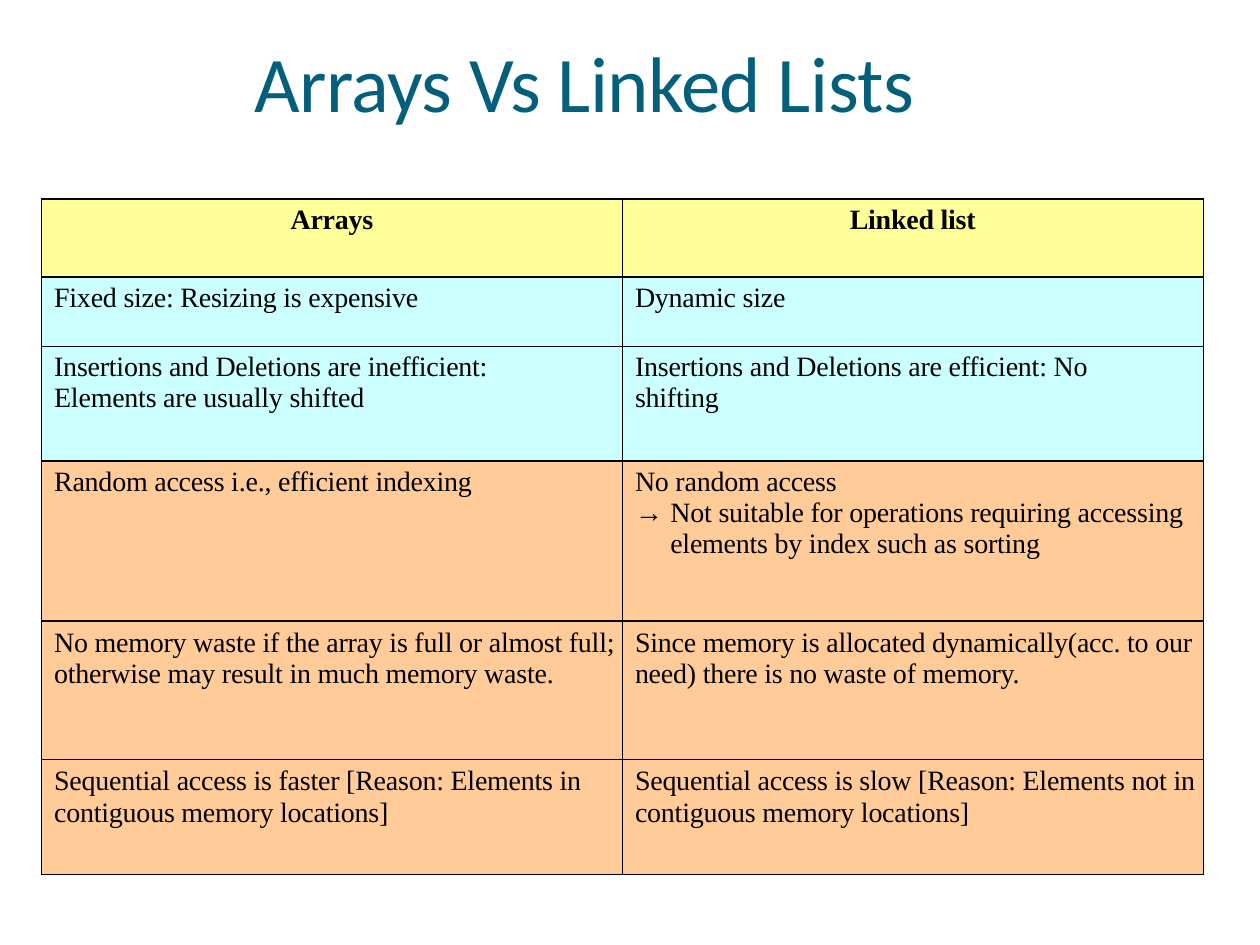
from lxml import etree
from pptx import Presentation
from pptx.dml.color import RGBColor
from pptx.enum.text import PP_ALIGN
from pptx.oxml.ns import qn
from pptx.util import Inches, Pt

CENTER = PP_ALIGN.CENTER
SERIF = "Times New Roman"
ARROW = "→ "
YELLOW, CYAN, ORANGE = "FFFF99", "CCFFFF", "FFCC99"

# Each row: height in inches, fill, paragraphs of the left and right cell
ROWS = [
    (0.62, YELLOW, ["Arrays"], ["Linked list"]),
    (0.55, CYAN, ["Fixed size: Resizing is expensive"], ["Dynamic size"]),
    (0.91, CYAN,
     ["Insertions and Deletions are inefficient:",
      "Elements are usually shifted"],
     ["Insertions and Deletions are efficient: No", "shifting"]),
    (1.27, ORANGE,
     ["Random access i.e., efficient indexing"],
     ["No random access",
      ARROW + "Not suitable for operations requiring accessing elements "
      "by index such as sorting"]),
    (1.1, ORANGE,
     ["No memory waste if the array is full or almost full; otherwise "
      "may result in much memory waste."],
     ["Since memory is allocated dynamically(acc. to our need) there is "
      "no waste of memory."]),
    (0.91, ORANGE,
     ["Sequential access is faster [Reason: Elements in contiguous "
      "memory locations]"],
     ["Sequential access is slow [Reason: Elements not in contiguous "
      "memory locations]"]),
]


def color(code):
    return RGBColor.from_string(code)


def style(run, font, size, code, track, bold=False):
    """Format a run; track is the letter spacing in points."""
    run.font.name = font
    run.font.size = Pt(size)
    run.font.bold = bold
    run.font.color.rgb = color(code)
    run._r.get_or_add_rPr().set("spc", str(round(track * 100)))


def indent(para, left, first=0):
    props = para._p.get_or_add_pPr()
    props.set("marL", str(Inches(left)))
    props.set("indent", str(Inches(first)))


def pad(box, top):
    box.margin_left = box.margin_right = box.margin_bottom = 0
    box.margin_top = Inches(top)


def add_title(slide, text):
    box = slide.shapes.add_textbox(
        Inches(2.01), Inches(0.26), Inches(5.35), Inches(0.78))
    frame = box.text_frame
    frame.word_wrap = True
    pad(frame, 0.01)
    frame.text = text
    para = frame.paragraphs[0]
    indent(para, 0.01)
    para.space_before = Pt(1)
    style(para.runs[0], "Calibri", 45, "04607A", -0.3)


def add_border(cell):
    props = cell._tc.get_or_add_tcPr()
    for place, side in enumerate(("a:lnL", "a:lnR", "a:lnT", "a:lnB")):
        line = etree.Element(qn(side), w=str(Pt(1)))
        fill = etree.SubElement(line, qn("a:solidFill"))
        etree.SubElement(fill, qn("a:srgbClr"), val="000000")
        props.insert(place, line)


def fill_cell(cell, texts, code, top, head):
    cell.fill.solid()
    cell.fill.fore_color.rgb = color(code)
    add_border(cell)
    pad(cell, top)
    frame = cell.text_frame
    frame.text = "\n".join(texts)
    for para in frame.paragraphs:
        if head:
            para.alignment = CENTER
        else:
            indent(para, 0.1)
        if para.text.startswith(ARROW):
            indent(para, 0.38, -0.28)
            rest = para.text[len(ARROW):]
            para.text = ARROW
            para.add_run().text = rest
        for run in para.runs:
            font = "Arial" if run.text == ARROW else SERIF
            style(run, font, 16, "000000", -0.1, head)
    frame.paragraphs[0].space_before = Pt(3.2)


def add_grid(slide):
    high = sum(row[0] for row in ROWS)
    table = slide.shapes.add_table(
        len(ROWS), 2, Inches(0.33), Inches(1.58),
        Inches(9.22), Inches(high)).table
    for col in table.columns:
        col.width = Inches(4.61)
    for r, (height, code, *cells) in enumerate(ROWS):
        table.rows[r].height = Inches(height)
        top = 0.04 if r < 4 else 0.05
        for c, texts in enumerate(cells):
            fill_cell(table.cell(r, c), texts, code, top, r == 0)


def main():
    deck = Presentation()
    deck.slide_width, deck.slide_height = Inches(10), Inches(7.5)
    slide = deck.slides.add_slide(deck.slide_layouts[6])
    add_title(slide, "Arrays Vs Linked Lists")
    add_grid(slide)
    deck.save("out.pptx")


if __name__ == "__main__":
    main()
